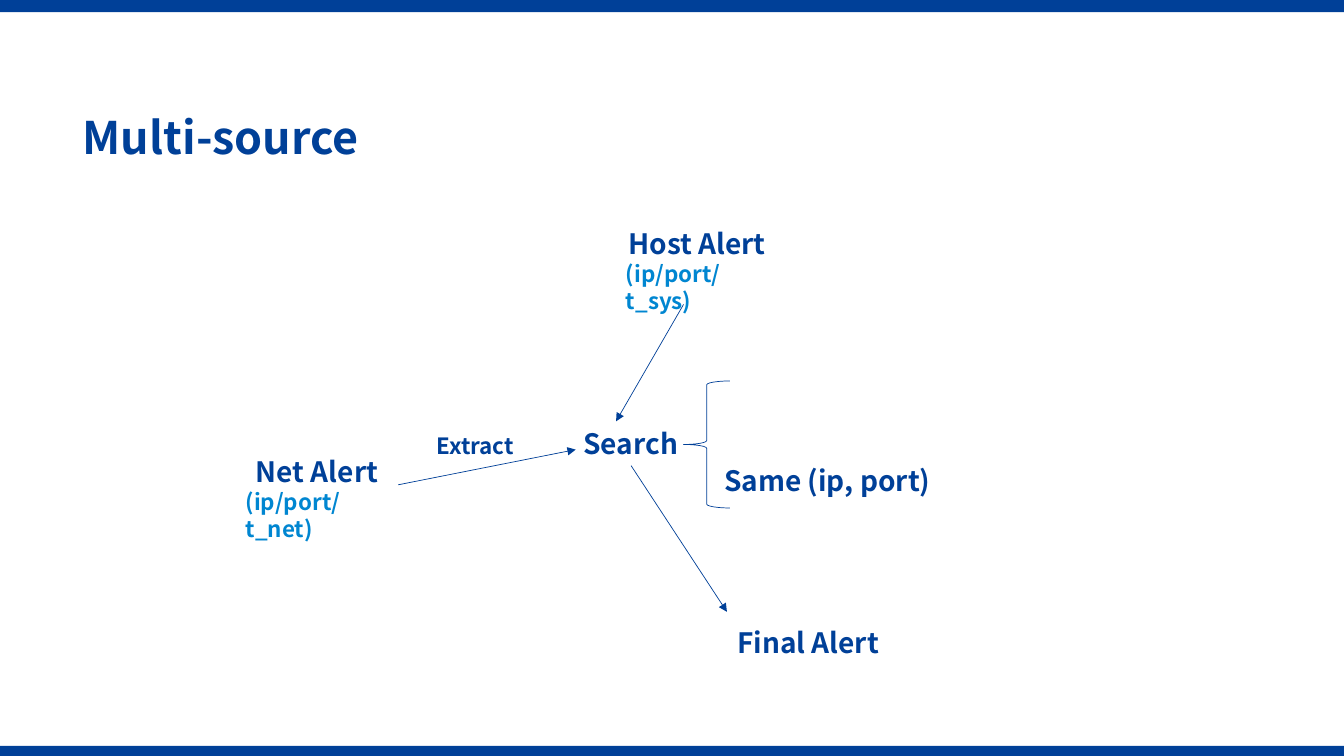
from dataclasses import dataclass

from lxml.etree import SubElement
from pptx import Presentation
from pptx.dml.color import RGBColor as RGB
from pptx.enum.shapes import MSO_CONNECTOR as Connector, MSO_SHAPE as Shape
from pptx.enum.text import MSO_ANCHOR as Anchor, MSO_AUTO_SIZE as AutoSize, PP_ALIGN as Align
from pptx.oxml.ns import qn
from pptx.util import Inches, Pt


@dataclass(frozen=True)
class Theme:
    font: str = "Noto Sans CJK SC"
    navy: RGB = RGB(0x00, 0x40, 0x98)
    sky: RGB = RGB(0x00, 0x86, 0xD1)
    title: int = 32
    label: int = 20
    note: int = 16
    line: float = 0.5


THEME = Theme()
WIDTH, HEIGHT = Inches(13.33), Inches(7.5)
NODE_W, NODE_H, PAIR_H, NOTE_H = 12.08, 5.87, 9.47, 4.93


def place(*percents):
    """Turn alternating x and y percentages of the slide into lengths."""
    return [round((HEIGHT if i % 2 else WIDTH) * v / 100) for i, v in enumerate(percents)]


def add_run(p, text, size, color=THEME.navy):
    r = p.add_run()
    r.text = text
    r.font.name = THEME.font
    r.font.size = Pt(size)
    r.font.bold = True
    r.font.color.rgb = color
    SubElement(r.font._element, qn("a:ea")).set("typeface", THEME.font)


def add_title(s, text):
    sp = s.shapes.title
    sp.left, sp.top, sp.width, sp.height = place(5.4, 14.27, 91.6, 8.4)
    tf = sp.text_frame
    tf.vertical_anchor = Anchor.MIDDLE
    p = tf.paragraphs[0]
    p.alignment = Align.LEFT
    p.line_spacing = 0.9
    add_run(p, text, THEME.title)


def add_label(s, x, y, text, fields=None, w=NODE_W, h=NODE_H, size=THEME.label):
    """Add a centred label, with an optional line of alert fields under it."""
    tf = s.shapes.add_textbox(*place(x, y, w, h)).text_frame
    tf.word_wrap = True
    tf.auto_size = AutoSize.SHAPE_TO_FIT_TEXT
    p = tf.paragraphs[0]
    p.alignment = Align.CENTER
    add_run(p, text, size)
    if fields:
        add_run(tf.add_paragraph(), fields, THEME.note, THEME.sky)


def add_bar(s, y, h):
    sp = s.shapes.add_shape(Shape.RECTANGLE, *place(0, y, 100, h))
    sp.shadow.inherit = False
    sp.fill.solid()
    sp.fill.fore_color.rgb = THEME.navy
    sp.line.fill.background()


def style_line(line):
    line.color.rgb = THEME.navy
    line.width = Pt(THEME.line)


def add_brace(s, x, y, w, h):
    sp = s.shapes.add_shape(Shape.LEFT_BRACE, *place(x, y, w, h))
    sp.shadow.inherit = False
    sp.fill.background()
    style_line(sp.line)


def add_arrow(s, start, end):
    arrow = s.shapes.add_connector(Connector.STRAIGHT, *place(*start, *end))
    style_line(arrow.line)
    sp_pr = arrow._element.spPr
    SubElement(sp_pr.find(qn("a:ln")), qn("a:tailEnd")).set("type", "triangle")
    SubElement(sp_pr, qn("a:effectLst"))


def main():
    prs = Presentation()
    prs.slide_width, prs.slide_height = WIDTH, HEIGHT
    s = prs.slides.add_slide(prs.slide_layouts[5])

    add_bar(s, 98.67, 1.33)
    add_bar(s, 0, 1.6)
    add_title(s, "Multi-source")

    add_label(s, 17.55, 59.47, "Net Alert", "(ip/port/t_net)", h=PAIR_H)
    add_label(s, 45.84, 29.33, "Host Alert", "(ip/port/t_sys)", h=PAIR_H)
    add_label(s, 40.89, 55.73, "Search")
    add_arrow(s, (29.63, 64.13), (42.84, 59.47))
    add_label(s, 29.33, 56.53, "Extract", h=NOTE_H, size=THEME.note)

    add_brace(s, 50.86, 50.4, 3.45, 16.8)
    add_label(s, 52.59, 60.67, "Same (ip, port)", w=17.93)

    add_arrow(s, (50.86, 40.27), (45.84, 55.73))
    add_arrow(s, (46.96, 61.6), (54.09, 80.93))
    add_label(s, 54.09, 82.13, "Final Alert")

    prs.save("out.pptx")


if __name__ == "__main__":
    main()
